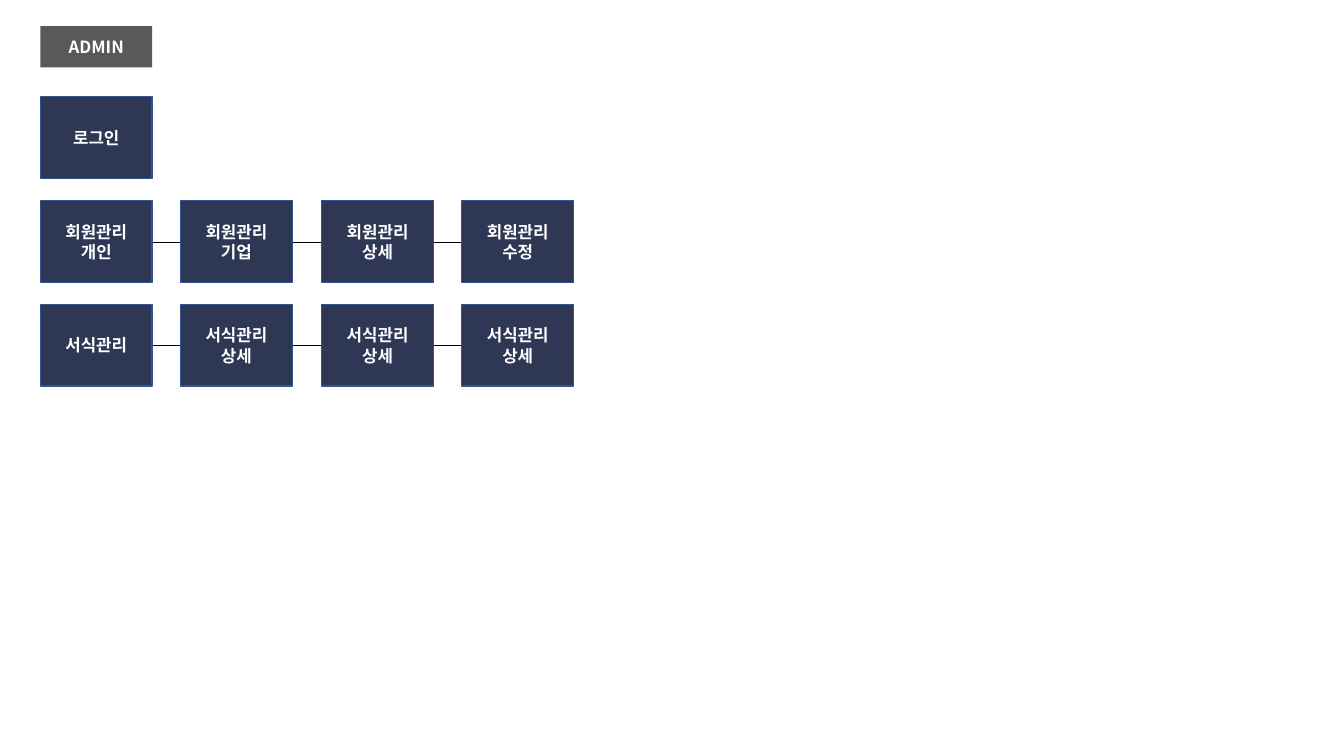
from dataclasses import dataclass

from lxml.etree import SubElement
from pptx import Presentation
from pptx.dml.color import RGBColor
from pptx.enum.shapes import MSO_CONNECTOR, MSO_SHAPE
from pptx.enum.text import MSO_ANCHOR, PP_ALIGN
from pptx.oxml.ns import qn
from pptx.util import Pt

PX = 9144  # EMU per px, 100 px to the inch


@dataclass(frozen=True)
class Theme:
    font: str = "Noto Sans CJK KR"
    size: int = 12
    text: str = "FFFFFF"
    head: str = "595959"
    box: str = "2E3854"
    edge: str = "325491"
    link: str = "000000"


THEME = Theme()

# Grid of page boxes
LEFT, TOP = 40, 96
WIDE, HIGH = 111, 81
SPAN, DROP = 418, 103  # first to last column, row to row

ROWS = [
    ["로그인"],
    ["회원관리\n개인", "회원관리\n기업", "회원관리\n상세", "회원관리\n수정"],
    ["서식관리", "서식관리\n상세", "서식관리\n상세", "서식관리\n상세"],
]


def color(code):
    return RGBColor.from_string(code)


def add_box(slide, text, left, top, high, fill, edge=None):
    box = slide.shapes.add_shape(
        MSO_SHAPE.RECTANGLE, left * PX, top * PX, WIDE * PX, high * PX)
    box.shadow.inherit = False
    box.fill.solid()
    box.fill.fore_color.rgb = color(fill)
    if edge:
        box.line.color.rgb = color(edge)
        box.line.width = Pt(1)
    else:
        box.line.fill.background()
    # Label
    frame = box.text_frame
    frame.text = text
    frame.word_wrap = True
    frame.vertical_anchor = MSO_ANCHOR.MIDDLE
    for para in frame.paragraphs:
        para.alignment = PP_ALIGN.CENTER
        for run in para.runs:
            font = run.font
            font.name = THEME.font
            font.size = Pt(THEME.size)
            font.bold = True
            font.color.rgb = color(THEME.text)
            # Korean glyphs take the East Asian typeface
            SubElement(run._r.rPr, qn("a:ea"), typeface=THEME.font)


def add_link(slide, start, end, y):
    link = slide.shapes.add_connector(
        MSO_CONNECTOR.STRAIGHT, start * PX, y * PX, end * PX, y * PX)
    link.line.color.rgb = color(THEME.link)
    link.line.width = Pt(0.5)
    SubElement(link._element.spPr, qn("a:effectLst"))


def add_row(slide, names, top):
    # The link runs behind the middle boxes
    if len(names) > 1:
        add_link(slide, LEFT + WIDE, LEFT + SPAN, top + HIGH // 2 + 1)
    for col, name in enumerate(names):
        left = LEFT + round(SPAN * col / 3)
        add_box(slide, name, left, top, HIGH, THEME.box, THEME.edge)


def main():
    deck = Presentation()
    deck.slide_width = 1333 * PX
    deck.slide_height = 750 * PX
    slide = deck.slides.add_slide(deck.slide_layouts[6])

    # Section header
    add_box(slide, "ADMIN", LEFT, 26, 41, THEME.head)

    # Site map
    for row, names in enumerate(ROWS):
        add_row(slide, names, TOP + row * DROP)

    deck.save("out.pptx")


if __name__ == "__main__":
    main()
